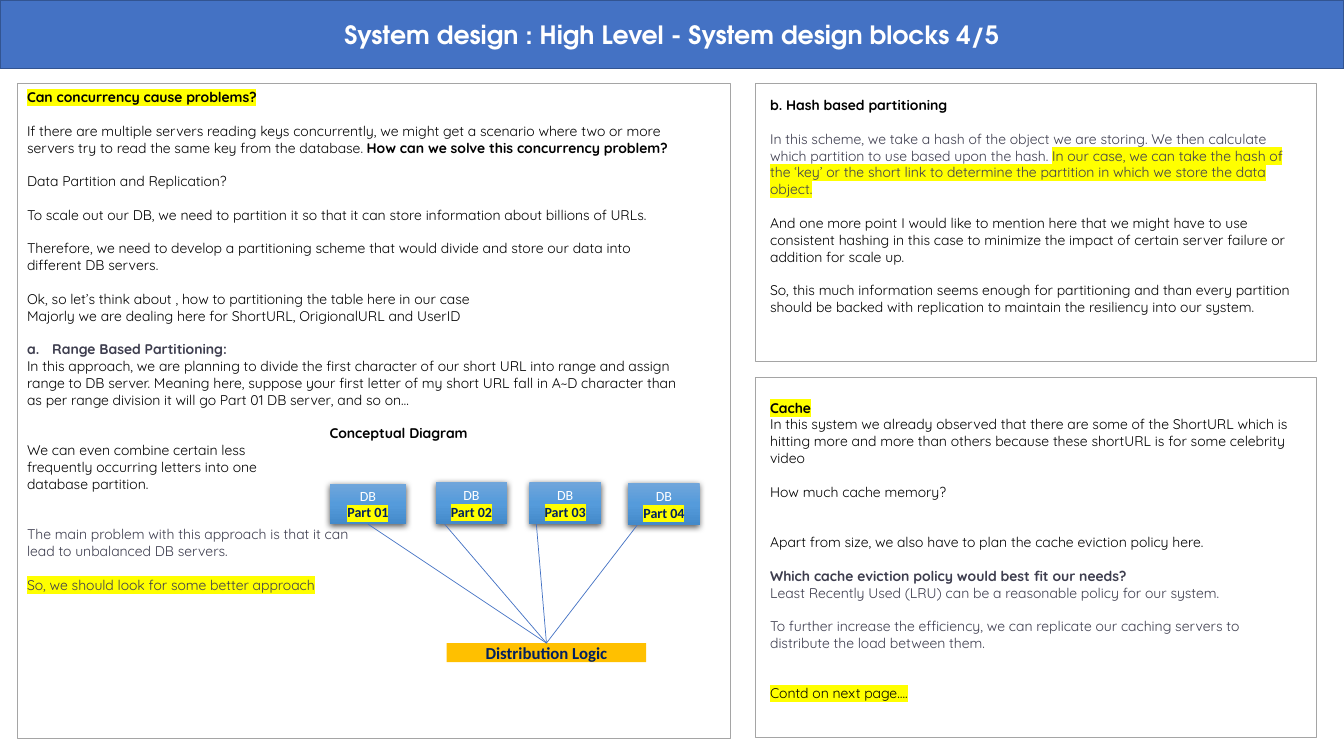
from dataclasses import dataclass

from lxml import etree
from pptx import Presentation
from pptx.dml.color import RGBColor
from pptx.enum.shapes import MSO_CONNECTOR, MSO_SHAPE
from pptx.enum.text import MSO_ANCHOR, MSO_AUTO_SIZE, PP_ALIGN
from pptx.oxml.ns import qn
from pptx.util import Inches, Pt

RECTANGLE = MSO_SHAPE.RECTANGLE
STRAIGHT = MSO_CONNECTOR.STRAIGHT
TOP, MIDDLE = MSO_ANCHOR.TOP, MSO_ANCHOR.MIDDLE
LEFT, CENTER = PP_ALIGN.LEFT, PP_ALIGN.CENTER
NO_FIT = MSO_AUTO_SIZE.NONE
TITLE_ONLY = 5
TOP_SIDE, BOTTOM_SIDE = 0, 2


@dataclass(frozen=True)
class Theme:
    title_font: str = "TeX Gyre Adventor"
    body_font: str = "Quicksand"
    diagram_font: str = "Calibri"
    title_size: int = 18
    body_size: int = 10
    bar_size: int = 12
    blank_line: int = 12
    white: str = "FFFFFF"
    black: str = "000000"
    slate: str = "3D3D4E"
    navy: str = "002060"
    yellow: str = "FFFF00"
    amber: str = "FFC000"
    blue: str = "4472C4"
    dark_blue: str = "325491"
    gray: str = "A5A5A5"
    gradient: tuple = ((0, "71A6DB"), (50, "559BDB"), (100, "448ACA"))


THEME = Theme()


@dataclass
class Span:
    text: str
    color: str = THEME.black
    bold: bool = False
    marked: bool = False


@dataclass
class Para:
    spans: list
    gap: int = 0
    indent: float = 0
    lettered: bool = False


def line(text, gap=0, color=THEME.black, bold=False, marked=False, **layout):
    return Para([Span(text, color, bold, marked)], gap, **layout)


def add_element(parent, tag, **attributes):
    return etree.SubElement(parent, qn(tag), attributes)


class SlideBuilder:
    def __init__(self, deck, theme):
        self.theme = theme
        self.page = deck.slides.add_slide(deck.slide_layouts[TITLE_ONLY])

    def fill_text(self, box, paras, font, size, align=LEFT, anchor=TOP, inset=(0.1, 0.05)):
        frame = box.text_frame
        frame.word_wrap = True
        frame.auto_size = NO_FIT
        frame.vertical_anchor = anchor
        frame.margin_left = frame.margin_right = Inches(inset[0])
        frame.margin_top = frame.margin_bottom = Inches(inset[1])
        for index, content in enumerate(paras):
            para = frame.paragraphs[0] if index == 0 else frame.add_paragraph()
            para.alignment = align
            para.space_before = Pt(content.gap * self.theme.blank_line)
            properties = para._p.get_or_add_pPr()
            if content.indent:
                properties.set("marL", str(Inches(content.indent)))
            if content.lettered:
                properties.set("indent", str(-Inches(content.indent)))
                add_element(properties, "a:buFont", typeface="+mj-lt")
                add_element(properties, "a:buAutoNum", type="alphaLcPeriod")
            for piece in content.spans:
                span = para.add_run()
                span.text = piece.text
                span.font.size = Pt(size)
                span.font.bold = piece.bold
                span.font.color.rgb = RGBColor.from_string(piece.color)
                if piece.marked:
                    highlight = add_element(span._r.get_or_add_rPr(), "a:highlight")
                    add_element(highlight, "a:srgbClr", val=self.theme.yellow)
                span.font.name = font

    def title(self, text, width, height):
        box = self.page.shapes.title
        box.left, box.top, box.width, box.height = 0, 0, Inches(width), Inches(height)
        box.fill.solid()
        box.fill.fore_color.rgb = RGBColor.from_string(self.theme.blue)
        box.line.color.rgb = RGBColor.from_string(self.theme.dark_blue)
        box.line.width = Pt(1)
        self.fill_text(box, [line(text, color=self.theme.white, bold=True)],
                       self.theme.title_font, self.theme.title_size, CENTER, MIDDLE)

    def rectangle(self, area):
        box = self.page.shapes.add_shape(RECTANGLE, *map(Inches, area))
        box.shadow.inherit = False
        return box

    def frame(self, *area):
        box = self.rectangle(area)
        box.fill.background()
        box.line.color.rgb = RGBColor.from_string(self.theme.gray)
        box.line.width = Pt(0.75)

    def text(self, area, paras):
        box = self.page.shapes.add_textbox(*map(Inches, area))
        self.fill_text(box, paras, self.theme.body_font, self.theme.body_size)

    def bar(self, text, *area):
        box = self.rectangle(area)
        box.fill.solid()
        box.fill.fore_color.rgb = RGBColor.from_string(self.theme.amber)
        box.line.fill.background()
        self.fill_text(box, [line(text, color=self.theme.navy, bold=True)],
                       self.theme.diagram_font, self.theme.bar_size, CENTER, MIDDLE, (0, 0))
        return box

    def database(self, name, *area):
        box = self.rectangle(area)
        box.line.fill.background()
        box.fill.gradient()
        box.fill.gradient_angle = 270
        properties = box._element.spPr
        stops = properties.find(".//" + qn("a:gsLst"))
        for stop in list(stops):
            stops.remove(stop)
        for position, color in self.theme.gradient:
            stop = add_element(stops, "a:gs", pos=str(position * 1000))
            add_element(stop, "a:srgbClr", val=color)
        shadow = add_element(properties.find(qn("a:effectLst")), "a:outerShdw",
                             blurRad=str(Pt(4.5)), dist=str(Pt(1.5)),
                             dir="5400000", algn="ctr", rotWithShape="0")
        shade = add_element(shadow, "a:srgbClr", val=self.theme.black)
        add_element(shade, "a:alpha", val="63000")
        label = [line("DB", color=self.theme.white),
                 line(name, color=self.theme.navy, bold=True, marked=True)]
        self.fill_text(box, label, self.theme.diagram_font, self.theme.body_size,
                       CENTER, MIDDLE, (0, 0))
        return box

    def link(self, bar, database, offset=None):
        end_x = database.left + (Inches(offset) if offset else database.width // 2)
        connector = self.page.shapes.add_connector(
            STRAIGHT, bar.left + bar.width // 2, bar.top,
            end_x, database.top + database.height)
        connector.begin_connect(bar, TOP_SIDE)
        if offset is None:
            connector.end_connect(database, BOTTOM_SIDE)
        connector.line.color.rgb = RGBColor.from_string(self.theme.blue)
        connector.line.width = Pt(0.5)
        add_element(connector._element.spPr, "a:effectLst")


PARTITION_NOTES = [
    line("Can concurrency cause problems?", bold=True, marked=True),
    Para([Span("If there are multiple servers reading keys concurrently, we might get a scenario where two or more servers try to read the same key from the database. "),
          Span("How can we solve this concurrency problem?", bold=True)], 1),
    line("Data Partition and Replication?", 1),
    line("To scale out our DB, we need to partition it so that it can store information about billions of URLs.", 1),
    line("Therefore, we need to develop a partitioning scheme that would divide and store our data into different DB servers.", 1),
    line("Ok, so let’s think about , how to partitioning the table here in our case", 1),
    line("Majorly we are dealing here for ShortURL, OrigionalURL and UserID"),
    line("Range Based Partitioning:", 1, THEME.slate, True, indent=0.25, lettered=True),
    line("In this approach, we are planning to divide the first character of our short URL into range and assign range to DB server. Meaning here, suppose your first letter of my short URL fall in A~D character than as per range division it will go Part 01 DB server, and so on…"),
    line("Conceptual Diagram", 1, bold=True, indent=3),
    line("We can even combine certain less"),
    line("frequently occurring letters into one"),
    line("database partition."),
    line("The main problem with this approach is that it can", 2, THEME.slate),
    line("lead to unbalanced DB servers.", color=THEME.slate),
    line("So, we should look for some better approach", 1, THEME.slate, marked=True),
]
HASH_NOTES = [
    line("b. Hash based partitioning", bold=True),
    Para([Span("In this scheme, we take a hash of the object we are storing. We then calculate which partition to use based upon the hash. ", THEME.slate),
          Span("In our case, we can take the hash of the ‘key’ or the short link to determine the partition in which we store the data object.", THEME.slate, marked=True)], 1),
    line("And one more point I would like to mention here that we might have to use consistent hashing in this case to minimize the impact of certain server failure or addition for scale up.", 1),
    line("So, this much information seems enough for partitioning and than every partition should be backed with replication to maintain the resiliency into our system.", 1),
]
CACHE_NOTES = [
    line("Cache", bold=True, marked=True),
    line("In this system we already observed that there are some of the ShortURL which is hitting more and more than others because these shortURL is for some celebrity video"),
    line("How much cache memory?", 1),
    line("Apart from size, we also have to plan the cache eviction policy here.", 2),
    line("Which cache eviction policy would best fit our needs?", 1, THEME.slate, True),
    line("Least Recently Used (LRU) can be a reasonable policy for our system.", color=THEME.slate),
    line("To further increase the efficiency, we can replicate our caching servers to distribute the load between them.", 1, THEME.slate),
    line("Contd on next page….", 2, marked=True),
]
DATABASES = [
    ("Part 01", 3.27, 4.8, 0.76, 0.4, None),
    ("Part 02", 4.32, 4.78, 0.71, 0.42, 0.09),
    ("Part 03", 5.25, 4.78, 0.71, 0.42, 0.07),
    ("Part 04", 6.23, 4.79, 0.71, 0.42, 0.09),
]


def main():
    deck = Presentation()
    deck.slide_width, deck.slide_height = Inches(13.33), Inches(7.5)
    slide = SlideBuilder(deck, THEME)
    slide.title("System design : High Level - System design blocks 4/5", 13.33, 0.68)
    slide.text((0.17, 0.83, 6.64, 5.82), PARTITION_NOTES)
    slide.frame(0.17, 0.83, 7.08, 6.5)
    bar = slide.bar("Distribution Logic", 4.43, 6.38, 1.98, 0.19)
    for name, left, top, width, height, offset in DATABASES:
        slide.link(bar, slide.database(name, left, top, width, height), offset)
    slide.text((7.54, 0.91, 5.46, 2.63), HASH_NOTES)
    slide.frame(7.49, 0.83, 5.57, 2.76)
    slide.frame(7.49, 3.75, 5.57, 3.57)
    slide.text((7.54, 3.91, 5.46, 3.13), CACHE_NOTES)
    deck.save("out.pptx")


if __name__ == "__main__":
    main()
